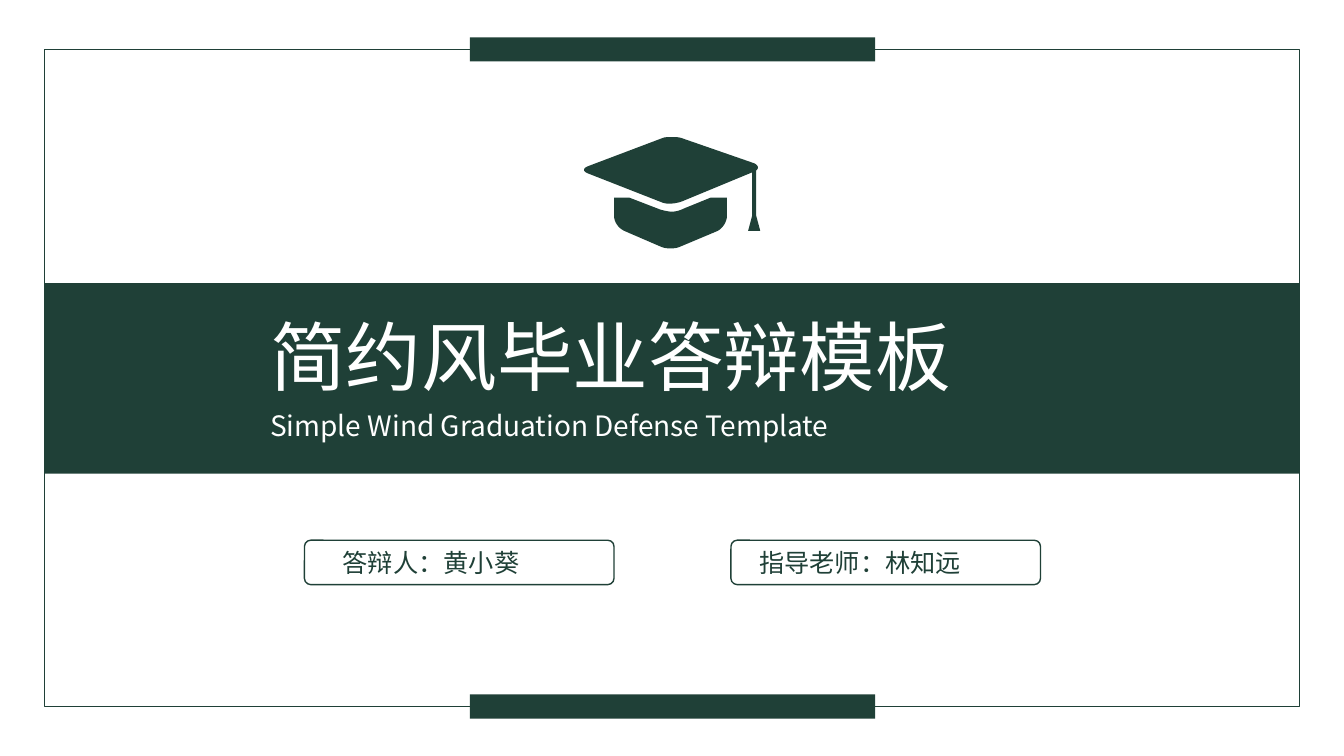
from pptx import Presentation
from pptx.dml.color import RGBColor
from pptx.enum.shapes import MSO_SHAPE as Shape
from pptx.enum.text import PP_ALIGN as Align, MSO_AUTO_SIZE as AutoSize
from pptx.oxml.ns import qn
from pptx.util import Inches, Pt
from lxml.etree import SubElement

GREEN = RGBColor(0x1F, 0x40, 0x37)
WHITE = RGBColor(0xFF, 0xFF, 0xFF)
FONT = "Noto Sans CJK SC"
CURVE_STEPS = 8

deck = Presentation()
deck.slide_width, deck.slide_height = Inches(13.33), Inches(7.5)
slide = deck.slides.add_slide(deck.slide_layouts[6])


def paint(shape, filled):
    """Solid green without a line, or a thin green outline."""
    shape.shadow.inherit = False
    if filled:
        shape.fill.solid()
        shape.fill.fore_color.rgb = GREEN
        shape.line.fill.background()
    else:
        shape.fill.background()
        shape.line.color.rgb = GREEN
        shape.line.width = Pt(1)


def outline(start, steps):
    """Points in EMU; a step is a line end or a cubic curve of three points."""
    points = [start]
    for step in steps:
        if len(step) == 2:
            points.append(step)
            continue
        ends = (points[-1], *step)
        for i in range(1, CURVE_STEPS + 1):
            t = i / CURVE_STEPS
            weights = ((1 - t) ** 3, 3 * t * (1 - t) ** 2, 3 * t * t * (1 - t), t ** 3)
            points.append(tuple(sum(w * p[axis] for w, p in zip(weights, ends))
                                for axis in (0, 1)))
    return [(Inches(x), Inches(y)) for x, y in points]


# Title band, frame and the bars on its top and bottom edges
for left, top, width, height, filled in [
    (0.44, 2.81, 12.45, 1.89, True),
    (0.44, 0.49, 12.45, 6.52, False),
    (4.66, 0.37, 4.02, 0.24, True),
    (4.66, 6.89, 4.02, 0.24, True),
]:
    panel = slide.shapes.add_shape(Shape.RECTANGLE, Inches(left), Inches(top),
                                   Inches(width), Inches(height))
    paint(panel, filled)

# Name boxes
for left in (3.02, 7.25):
    name_box = slide.shapes.add_shape(Shape.ROUNDED_RECTANGLE, Inches(left), Inches(5.36),
                                      Inches(3.07), Inches(0.44))
    name_box.adjustments[0] = 0.14
    paint(name_box, False)

# Graduation cap: skull cap, then board with tassel
skull_cap = outline((6.09, 1.96), [
    (6.24, 1.96), (6.55, 2.08),
    ((6.59, 2.09), (6.63, 2.1), (6.66, 2.1)),
    ((6.7, 2.1), (6.74, 2.09), (6.78, 2.07)),
    (7.05, 1.96), (7.21, 1.96), (7.21, 2.14),
    ((7.21, 2.2), (7.17, 2.26), (7.12, 2.29)),
    (6.74, 2.45),
    ((6.69, 2.47), (6.61, 2.47), (6.56, 2.45)),
    (6.19, 2.29),
    ((6.13, 2.26), (6.09, 2.2), (6.09, 2.14)),
])
board = outline((6.66, 1.36), [
    ((6.7, 1.36), (6.73, 1.36), (6.76, 1.37)),
    (7.48, 1.62),
    ((7.52, 1.64), (7.53, 1.67), (7.5, 1.69)),
    (7.5, 2.14), (7.54, 2.29), (7.42, 2.29), (7.46, 2.14), (7.46, 1.71), (6.76, 2),
    ((6.7, 2.02), (6.62, 2.03), (6.57, 2.01)),
    (5.83, 1.72),
    ((5.78, 1.7), (5.78, 1.67), (5.83, 1.65)),
    (6.57, 1.37),
    ((6.59, 1.36), (6.63, 1.36), (6.66, 1.36)),
])
cap_builder = slide.shapes.build_freeform(*skull_cap[0])
cap_builder.add_line_segments(skull_cap[1:], close=True)
cap_builder.move_to(*board[0])
cap_builder.add_line_segments(board[1:], close=True)
paint(cap_builder.convert_to_shape(), True)

# Title, subtitle and names
for words, left, top, width, height, right_inset, size, color in [
    ("简约风毕业答辩模板", 2.68, 3.03, 7.97, 1.01, 0, 54, WHITE),
    ("Simple Wind Graduation Defense Template", 2.68, 4, 7.97, 0.44, 0, 20, WHITE),
    ("答辩人：黄小葵", 3.4, 5.38, 2.3, 0.4, 0.1, 18, GREEN),
    ("指导老师：林知远", 7.53, 5.38, 2.51, 0.4, 0.1, 18, GREEN),
]:
    caption = slide.shapes.add_textbox(Inches(left), Inches(top),
                                       Inches(width), Inches(height)).text_frame
    frame_format = {"word_wrap": True, "auto_size": AutoSize.SHAPE_TO_FIT_TEXT,
                    "margin_left": 0, "margin_right": Inches(right_inset),
                    "margin_top": Inches(0.05), "margin_bottom": Inches(0.05)}
    for attribute, value in frame_format.items():
        setattr(caption, attribute, value)
    line = caption.paragraphs[0]
    line.alignment = Align.JUSTIFY
    run = line.add_run()
    run.text = words
    for attribute, value in {"size": Pt(size), "name": FONT}.items():
        setattr(run.font, attribute, value)
    run.font.color.rgb = color
    # Chinese characters take their font from a:ea
    SubElement(run.font._element if hasattr(run.font, "_element") else run._r.get_or_add_rPr(),
               qn("a:ea"), typeface=FONT)

deck.save("out.pptx")
